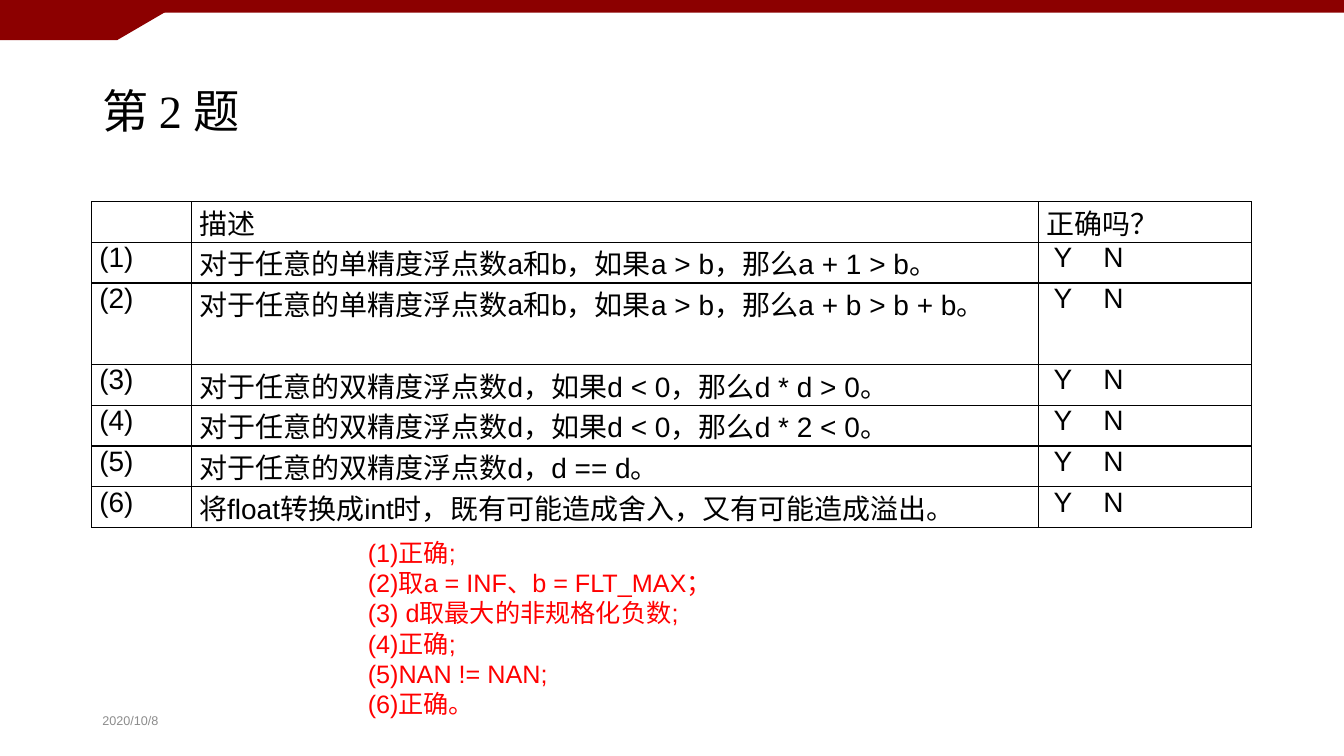
from lxml import etree
from pptx import Presentation
from pptx import util as u
from pptx.dml.color import RGBColor
from pptx.enum import shapes, text
from pptx.oxml import ns

Pt = u.Pt
DARK_RED = "8C0000"
CHOICE = "Y\tN"
ROWS = [
    ("", "描述", "正确吗？"),
    ("(1)", "对于任意的单精度浮点数a和b，如果a > b，那么a + 1 > b。", CHOICE),
    ("(2)", "对于任意的单精度浮点数a和b，如果a > b，那么a + b > b + b。", CHOICE),
    ("(3)", "对于任意的双精度浮点数d，如果d < 0，那么d * d > 0。", CHOICE),
    ("(4)", "对于任意的双精度浮点数d，如果d < 0，那么d * 2 < 0。", CHOICE),
    ("(5)", "对于任意的双精度浮点数d，d == d。", CHOICE),
    ("(6)", "将float转换成int时，既有可能造成舍入，又有可能造成溢出。", CHOICE),
]
ROW_LINES = [1, 1, 2, 1, 1, 1, 1]
ANSWERS = ["(1)正确;", "(2)取a = INF、b = FLT_MAX；", "(3) d取最大的非规格化负数;",
           "(4)正确;", "(5)NAN != NAN;", "(6)正确。"]


def rgb(code):
    """Turn a hex string into a colour."""
    return RGBColor.from_string(code)


def write(tf, lines, size=20, font="Arial", color="000000", align=None, spacing=None):
    """Fill a text frame with one paragraph per line."""
    tf.word_wrap = True
    for i, line in enumerate(lines):
        p = tf.add_paragraph() if i else tf.paragraphs[0]
        p.alignment, p.line_spacing = align, spacing
        r = p.add_run()
        r.text = line
        r.font.size, r.font.name = Pt(size), font
        r.font.color.rgb = rgb(color)


def text_box(s, box, lines, anchor=text.MSO_ANCHOR.TOP, **fmt):
    """Add a text box at (left, top, width, height)."""
    tf = s.shapes.add_textbox(*map(Pt, box)).text_frame
    tf.vertical_anchor = anchor
    write(tf, lines, **fmt)


def banner(s, box):
    """Draw the top strip and the slanted tab under its left end."""
    x, y, w, h = box
    fb = s.shapes.build_freeform(Pt(x), Pt(y))
    fb.add_line_segments([(Pt(x + dx), Pt(y + dy)) for dx, dy in
                          ((0, h), (84.5, h), (133.5, 0))], close=True)
    strip = s.shapes.add_shape(shapes.MSO_SHAPE.RECTANGLE, Pt(x), Pt(y), Pt(w), Pt(9))
    for sp in (fb.convert_to_shape(), strip):
        sp.shadow.inherit = False
        sp.fill.solid()
        sp.fill.fore_color.rgb = rgb(DARK_RED)
        sp.line.fill.background()


def outline(cell, color="000000", width=1):
    """Give a cell a line on all four sides and no fill."""
    pr = cell._tc.get_or_add_tcPr()
    for side in ("lnL", "lnR", "lnT", "lnB"):
        ln = etree.SubElement(pr, ns.qn("a:" + side), w=str(Pt(width)))
        fill = etree.SubElement(ln, ns.qn("a:solidFill"))
        etree.SubElement(fill, ns.qn("a:srgbClr"), val=color)
    cell.fill.background()


def choice_layout(cell, tab=35.5):
    """Indent the Y / N choice and set the tab stop before N."""
    cell.margin_left = Pt(10.5)
    pr = cell.text_frame.paragraphs[0]._p.get_or_add_pPr()
    tabs = etree.SubElement(pr, ns.qn("a:tabLst"))
    etree.SubElement(tabs, ns.qn("a:tab"), pos=str(Pt(tab)), algn="l")


def question_table(s, box, shares=(71.3, 605.3, 151.9)):
    """Add the statements with their Y / N column; rows grow with their line count."""
    x, y, w, h = box
    t = s.shapes.add_table(len(ROWS), len(shares), *map(Pt, box)).table
    t.first_row = t.horz_banding = False
    for col, share in zip(t.columns, shares):
        col.width = Pt(w * share / sum(shares))
    for row, words, lines in zip(t.rows, ROWS, ROW_LINES):
        row.height = Pt(h * lines / sum(ROW_LINES))
        for cell, word in zip(row.cells, words):
            cell.margin_left = cell.margin_right = Pt(5.4)
            cell.margin_top = cell.margin_bottom = 0
            outline(cell)
            if word:
                write(cell.text_frame, [word], align=text.PP_ALIGN.JUSTIFY)
            if word == CHOICE:
                choice_layout(cell)


def question_slide(prs):
    """Build the question slide with its answers."""
    s = prs.slides.add_slide(prs.slide_layouts[6])
    middle = text.MSO_ANCHOR.MIDDLE
    banner(s, (-0.7, 0, 961.4, 28.6))
    text_box(s, (66, 28.8, 828, 104.4), ["第 2 题"], middle, size=33,
             font="Times New Roman", spacing=0.9)
    text_box(s, (66, 500.5, 216, 28.8), ["2020/10/8"], middle, size=9, color="8C8C8C")
    question_table(s, (65.5, 144, 828.5, 232.8))
    text_box(s, (255.6, 380.2, 480, 159.8), ANSWERS, size=18, color="FF0000")


prs = Presentation()
prs.slide_width, prs.slide_height = Pt(960), Pt(540)
question_slide(prs)
prs.save("out.pptx")
